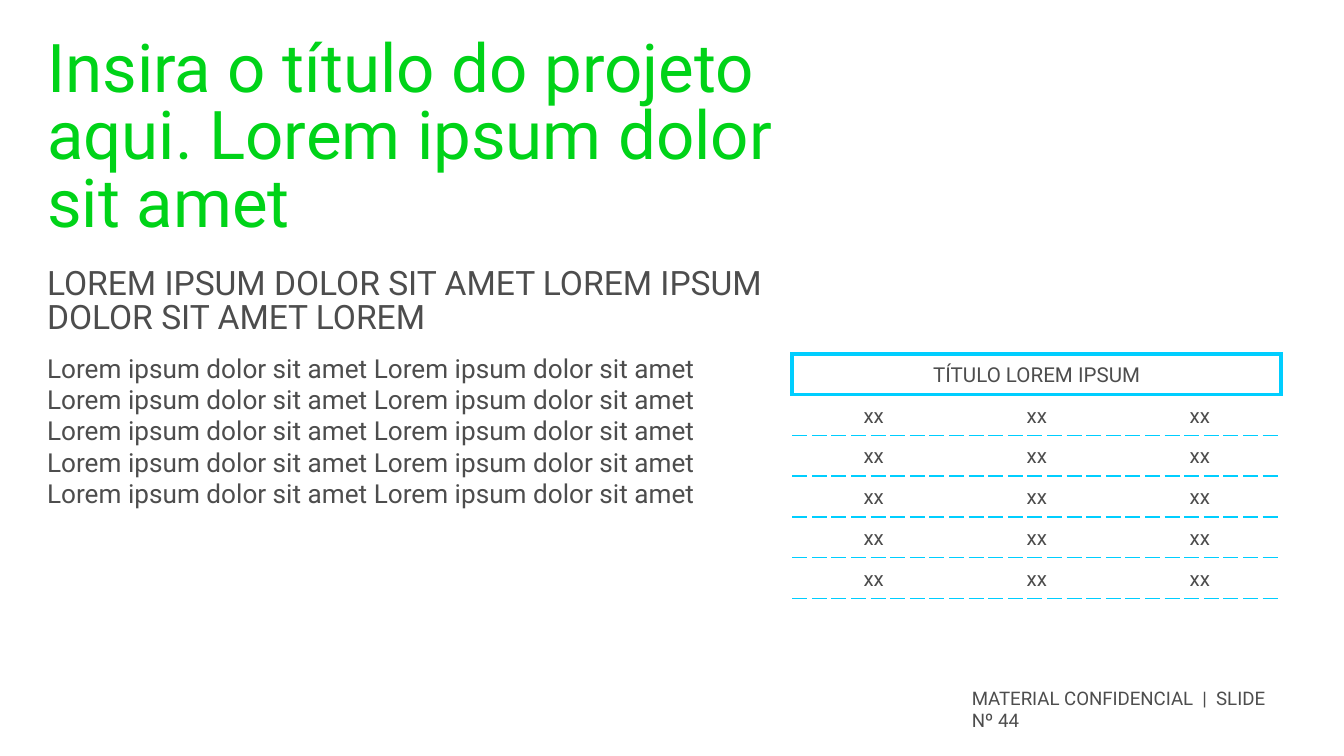
from dataclasses import dataclass

from lxml.etree import SubElement
from pptx import Presentation
from pptx.dml.color import RGBColor
from pptx.enum.text import MSO_ANCHOR, PP_ALIGN
from pptx.oxml.ns import qn
from pptx.util import Pt


@dataclass(frozen=True)
class Theme:
    font: str = "Roboto"
    ink: str = "4D4D4D"
    green: str = "00D318"
    cyan: str = "00CEFF"
    title: float = 36
    lead: float = 18
    body: float = 14
    cell: float = 11
    foot: float = 10


@dataclass(frozen=True)
class Block:
    text: str
    left: float
    top: float
    width: float
    height: float
    size: float
    color: str
    pitch: float | None = None


@dataclass(frozen=True)
class Edge:
    width: float
    dash: str = "solid"


THEME = Theme()
MARGIN = 25.2
WIDE = 406
ROWS, COLS = 6, 3
ROW_H, COL_W = 21.84, 87.36
BOLD = Edge(2.25)
DASH = Edge(1, "dash")

BLOCKS = [
    Block("MATERIAL CONFIDENCIAL  |  SLIDE Nº 44", 520.6, 368, 167.8, 21.6,
          THEME.foot, THEME.ink),
    Block(" ".join(["Lorem ipsum dolor sit amet"] * 10), MARGIN, 188.6, 370.8,
          119.5, THEME.body, THEME.ink),
    Block("LOREM IPSUM DOLOR SIT AMET LOREM IPSUM DOLOR SIT AMET LOREM",
          MARGIN, 144, WIDE, 38.2, THEME.lead, THEME.ink, 18),
    Block("Insira o título do projeto aqui. Lorem ipsum dolor sit amet",
          MARGIN, 20.9, WIDE, 103.7, THEME.title, THEME.green, 36),
]


def write(frame, text: str, size: float, color: str, pitch: float | None) -> None:
    para = frame.paragraphs[0]
    if pitch:
        para.line_spacing = Pt(pitch)
    run = para.add_run()
    run.text = text
    run.font.name = THEME.font
    run.font.size = Pt(size)
    run.font.color.rgb = RGBColor.from_string(color)


def add_block(slide, block: Block) -> None:
    box = slide.shapes.add_textbox(Pt(block.left), Pt(block.top),
                                   Pt(block.width), Pt(block.height))
    frame = box.text_frame
    frame.word_wrap = True
    frame.margin_left = frame.margin_right = 0
    frame.margin_top = frame.margin_bottom = 0
    write(frame, block.text, block.size, block.color, block.pitch)


def set_edge(cell, side: str, edge: Edge | None) -> None:
    """Draw one cell border, or clear it when edge is None."""
    props = cell._tc.get_or_add_tcPr()
    line = SubElement(props, qn(f"a:ln{side}"))
    if edge is None:
        SubElement(line, qn("a:noFill"))
        return
    line.set("w", str(Pt(edge.width)))
    fill = SubElement(line, qn("a:solidFill"))
    SubElement(fill, qn("a:srgbClr")).set("val", THEME.cyan)
    SubElement(line, qn("a:prstDash")).set("val", edge.dash)


def style_cell(cell, row: int) -> None:
    head = row == 0
    side = BOLD if head else None
    top = BOLD if row < 2 else DASH
    base = BOLD if head else DASH
    for name, edge in zip("LRTB", (side, side, top, base)):
        set_edge(cell, name, edge)
    cell.fill.background()
    cell.vertical_anchor = MSO_ANCHOR.MIDDLE
    cell.margin_left = cell.margin_right = Pt(7.2)
    cell.margin_top = cell.margin_bottom = Pt(2.88)


def add_grid(slide) -> None:
    shape = slide.shapes.add_table(ROWS, COLS, Pt(424.4), Pt(189.6),
                                   Pt(COLS * COL_W), Pt(ROWS * ROW_H))
    table = shape.table
    table.first_row = table.horz_banding = False
    for col in table.columns:
        col.width = Pt(COL_W)
    for row in table.rows:
        row.height = Pt(ROW_H)
    table.cell(0, 0).merge(table.cell(0, COLS - 1))
    for row in range(ROWS):
        for col in range(COLS):
            cell = table.cell(row, col)
            style_cell(cell, row)
            if cell.is_spanned:
                continue
            text = "xx" if row else "TÍTULO LOREM IPSUM"
            write(cell.text_frame, text, THEME.cell, THEME.ink, 14)
            cell.text_frame.paragraphs[0].alignment = PP_ALIGN.CENTER


def main() -> None:
    deck = Presentation()
    deck.slide_width, deck.slide_height = Pt(720), Pt(405)
    slide = deck.slides.add_slide(deck.slide_layouts[6])
    foot, *rest = BLOCKS
    add_block(slide, foot)
    add_grid(slide)
    for block in rest:
        add_block(slide, block)
    deck.save("out.pptx")


if __name__ == "__main__":
    main()
